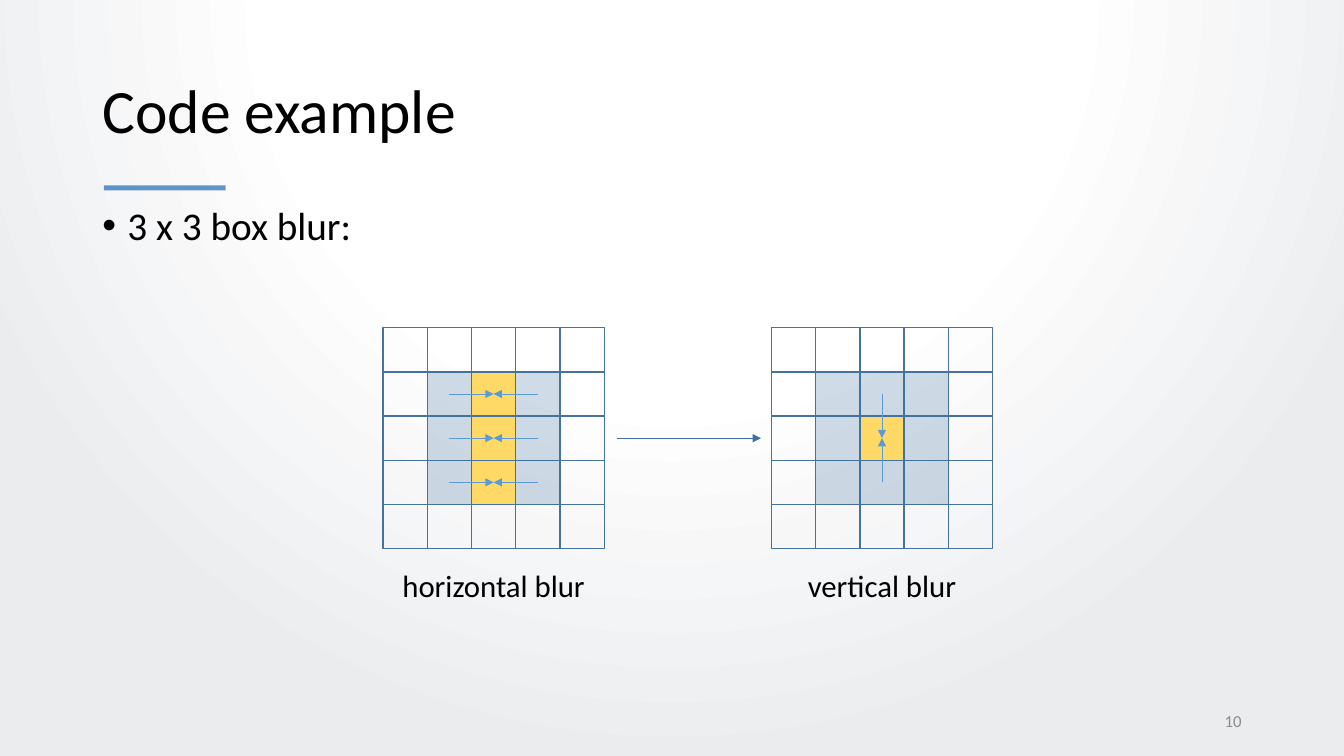
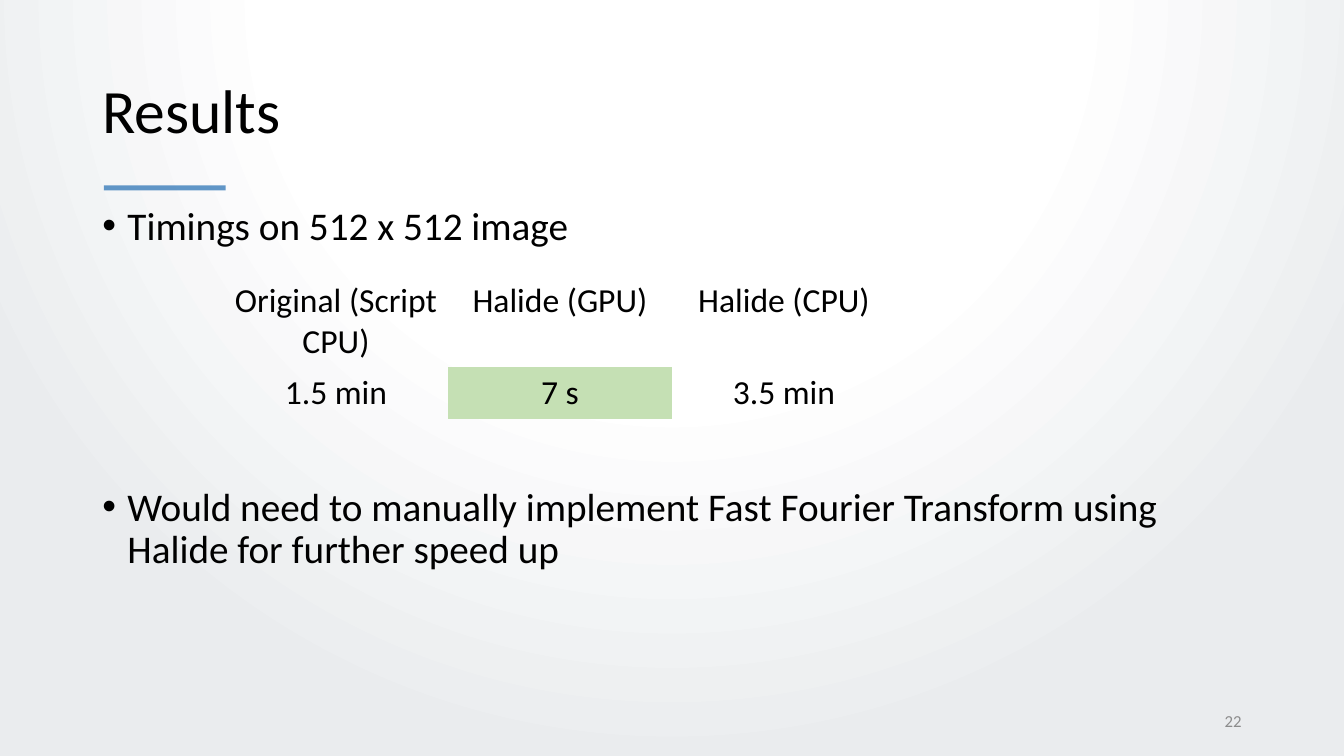
from lxml import etree
from pptx import Presentation
from pptx.dml.color import RGBColor
from pptx.enum.shapes import MSO_CONNECTOR, MSO_SHAPE
from pptx.enum.text import MSO_ANCHOR, PP_ALIGN
from pptx.oxml import parse_xml
from pptx.oxml.ns import qn
from pptx.util import Pt

RECTANGLE = MSO_SHAPE.RECTANGLE
STRAIGHT = MSO_CONNECTOR.STRAIGHT
TOP, MIDDLE = MSO_ANCHOR.TOP, MSO_ANCHOR.MIDDLE
LEFT, CENTER, RIGHT = PP_ALIGN.LEFT, PP_ALIGN.CENTER, PP_ALIGN.RIGHT

COLORS = {
    "text": "000000",
    "number": "8C8C8C",
    "accent": "2E75B6",
    "outline": "43739E",
    "tint": "41719C",
    "target": "FFD966",
    "gather": "5B9BD5",
    "best": "C5E0B4",
    "page": "FFFFFF",
    "edge": "EAECEE",
}
FONT = "Calibri"
DRAWING = "http://schemas.openxmlformats.org/drawingml/2006/main"
PLAIN_TABLE = "{2D5ABB26-0587-4C30-8999-92F81FD0307C}"
MARGIN, CONTENT_WIDTH = 66, 828
CELL, GRID_SIZE, GRID_TOP = 31.6, 5, 234
CAPTION_WIDTH = 200


def rgb(name):
    return RGBColor.from_string(COLORS[name])


def add_background(deck):
    fill = deck.slide_master.background.fill
    fill.gradient()
    stops = [(0, "page"), (51, "page"), (100, "edge")]
    stop_xml = "".join(
        f'<a:gs pos="{place * 1000}"><a:srgbClr val="{COLORS[name]}"/></a:gs>'
        for place, name in stops
    )
    gradient = parse_xml(
        f'<a:gradFill xmlns:a="{DRAWING}" rotWithShape="1">'
        f"<a:gsLst>{stop_xml}</a:gsLst>"
        '<a:path path="circle"><a:fillToRect l="50000" t="-80000"'
        ' r="50000" b="180000"/></a:path></a:gradFill>'
    )
    holder = deck.slide_master.background._cSld.find(qn("p:bg")).find(qn("p:bgPr"))
    holder.replace(holder.find(qn("a:gradFill")), gradient)


def write(para, text, size, color="text", align=LEFT):
    para.alignment = align
    span = para.add_run()
    span.text = text
    values = {"name": FONT, "size": Pt(size), "bold": False}
    for key, value in values.items():
        setattr(span.font, key, value)
    span.font.color.rgb = rgb(color)


def add_text_box(shapes, left, top, width, height, anchor=TOP):
    box = shapes.add_textbox(Pt(left), Pt(top), Pt(width), Pt(height))
    box.text_frame.word_wrap = True
    box.text_frame.vertical_anchor = anchor
    return box.text_frame


def add_rectangle(shapes, left, top, width, height, fill=None, line=None, opacity=100):
    box = shapes.add_shape(RECTANGLE, Pt(left), Pt(top), Pt(width), Pt(height))
    box.shadow.inherit = False
    if fill:
        box.fill.solid()
        box.fill.fore_color.rgb = rgb(fill)
    else:
        box.fill.background()
    if line:
        box.line.color.rgb = rgb(line)
        box.line.width = Pt(1)
    else:
        box.line.fill.background()
    if opacity < 100:
        color = box._element.spPr.find(qn("a:solidFill"))[0]
        etree.SubElement(color, qn("a:alpha")).set("val", str(opacity * 1000))


def add_arrow(shapes, start, end, color):
    arrow = shapes.add_connector(STRAIGHT, *(Pt(value) for value in (*start, *end)))
    arrow.line.color.rgb = rgb(color)
    arrow.line.width = Pt(0.5)
    etree.SubElement(arrow.line._get_or_add_ln(), qn("a:tailEnd")).set("type", "triangle")
    etree.SubElement(arrow._element.spPr, qn("a:effectLst"))


def add_page(deck, title, number):
    page = deck.slides.add_slide(deck.slide_layouts[5])
    add_rectangle(page.shapes, 74.2, 132.5, 87, 3.6, "accent", opacity=75)
    heading = page.shapes.title
    frame = {"left": MARGIN, "top": 28.8, "width": CONTENT_WIDTH, "height": 104.4}
    for key, value in frame.items():
        setattr(heading, key, Pt(value))
    heading.text_frame.vertical_anchor = MIDDLE
    para = heading.text_frame.paragraphs[0]
    para.line_spacing = 0.9
    write(para, title, 44)
    footer = add_text_box(page.shapes, 678, 500.5, 216, 28.8, MIDDLE)
    write(footer.paragraphs[0], str(number), 12, "number", RIGHT)
    return page


def add_bullets(page, texts, gap=0):
    body = add_text_box(page.shapes, MARGIN, 144, CONTENT_WIDTH, 342.7)
    for index, text in enumerate(texts):
        para = body.add_paragraph() if index else body.paragraphs[0]
        properties = para._p.get_or_add_pPr()
        properties.set("marL", str(Pt(18)))
        properties.set("indent", str(Pt(-18)))
        etree.SubElement(properties, qn("a:buFont")).set("typeface", "Arial")
        etree.SubElement(properties, qn("a:buChar")).set("char", "•")
        para.line_spacing = 0.9
        if index:
            para.space_before = Pt(gap)
        write(para, text, 28)


def add_blur_grid(page, left, caption, targets, arrows):
    shapes = page.shapes.add_group_shape().shapes

    def corner(column, row):
        return left + column * CELL, GRID_TOP + row * CELL

    def center(column, row):
        return corner(column + 0.5, row + 0.5)

    cells = [(column, row) for row in range(GRID_SIZE) for column in range(GRID_SIZE)]
    window = [(column, row) for column, row in cells if 1 <= column <= 3 and 1 <= row <= 3]
    for cell in targets:
        add_rectangle(shapes, *corner(*cell), CELL, CELL, "target")
    for cell in cells:
        add_rectangle(shapes, *corner(*cell), CELL, CELL, line="outline")
    for cell in window:
        if cell not in targets:
            add_rectangle(shapes, *corner(*cell), CELL, CELL, "tint", opacity=25)
    for start, end in arrows:
        add_arrow(shapes, center(*start), center(*end), "gather")
    middle = left + GRID_SIZE * CELL / 2
    label = add_text_box(page.shapes, middle - CAPTION_WIDTH / 2, 401.5, CAPTION_WIDTH, 32.4)
    write(label.paragraphs[0], caption, 22, align=CENTER)


def add_timings(page, rows, heights, column_width, best):
    columns = len(rows[0])
    frame = page.shapes.add_table(
        len(rows), columns, Pt(160), Pt(196.6), Pt(column_width * columns), Pt(sum(heights))
    )
    table = frame.table
    table.first_row = table.horz_banding = False
    table._tbl.tblPr.find(qn("a:tableStyleId")).text = PLAIN_TABLE
    for row_index, (texts, height) in enumerate(zip(rows, heights)):
        table.rows[row_index].height = Pt(height)
        for column_index, text in enumerate(texts):
            cell = table.cell(row_index, column_index)
            if (row_index, column_index) == best:
                cell.fill.solid()
                cell.fill.fore_color.rgb = rgb("best")
            else:
                cell.fill.background()
            if text:
                write(cell.text_frame.paragraphs[0], text, 24, align=CENTER)


def add_code_example(deck):
    page = add_page(deck, "Code example", 10)
    add_bullets(page, ["3 x 3 box blur:"])
    column = [(2, row) for row in (1, 2, 3)]
    inward = [((side, row), (2, row)) for row in (1, 2, 3) for side in (1, 3)]
    add_blur_grid(page, 273.6, "horizontal blur", column, inward)
    vertical = [((2, side), (2, 2)) for side in (1, 3)]
    add_blur_grid(page, 551, "vertical blur", [(2, 2)], vertical)
    add_arrow(page.shapes, (440.6, 313), (543.6, 313), "tint")


def add_results(deck):
    page = add_page(deck, "Results", 22)
    bullets = [
        "Timings on 512 x 512 image",
        "Would need to manually implement Fast Fourier Transform using "
        "Halide for further speed up",
    ]
    add_bullets(page, bullets, gap=170.5)
    rows = [
        ["Original (Script CPU)", "Halide (GPU)", "Halide (CPU)", ""],
        ["1.5 min", "7 s", "3.5 min", ""],
    ]
    add_timings(page, rows, heights=[65.8, 37], column_width=160, best=(1, 1))


def main():
    deck = Presentation()
    deck.slide_width, deck.slide_height = Pt(960), Pt(540)
    add_background(deck)
    add_code_example(deck)
    add_results(deck)
    deck.save("out.pptx")


if __name__ == "__main__":
    main()
